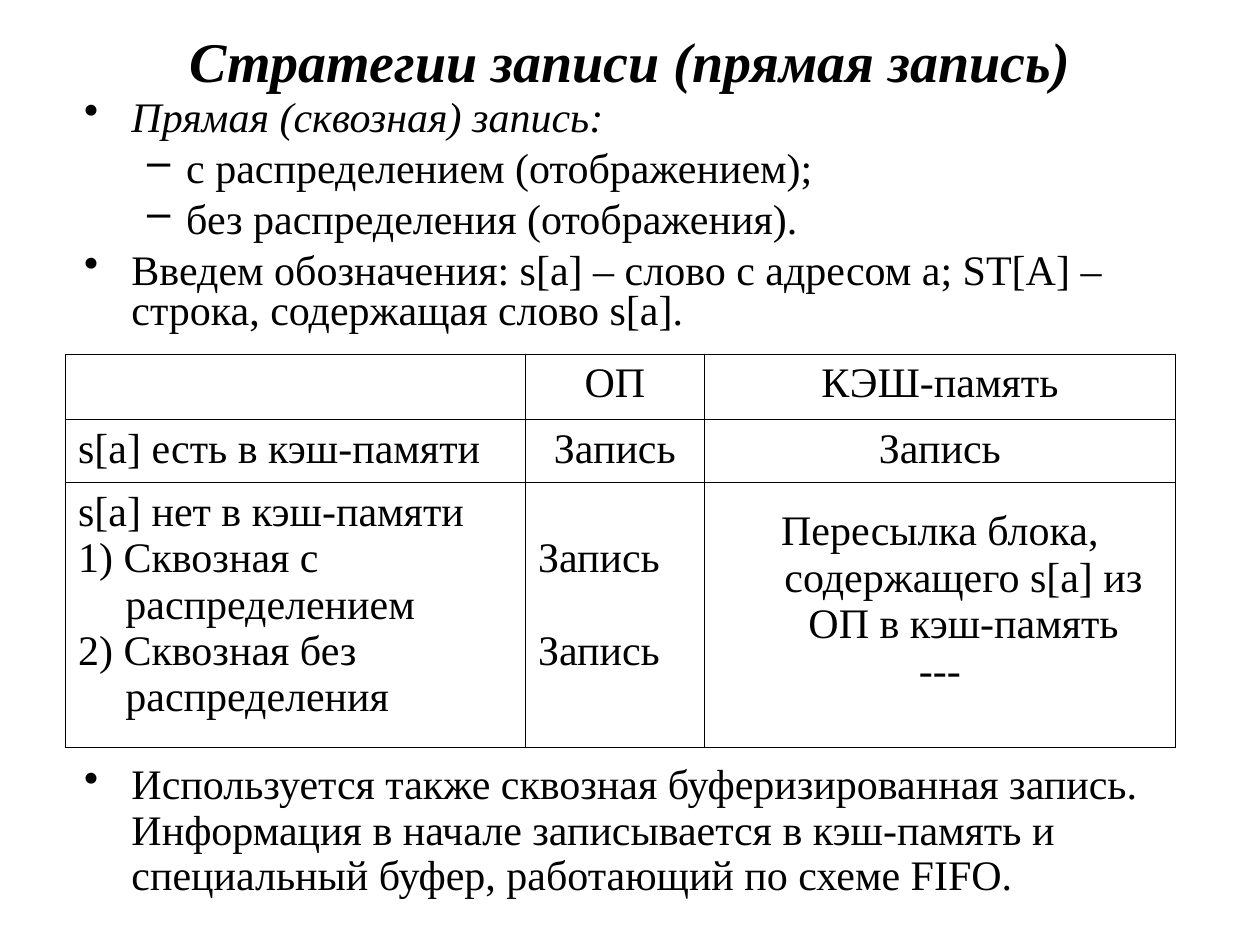
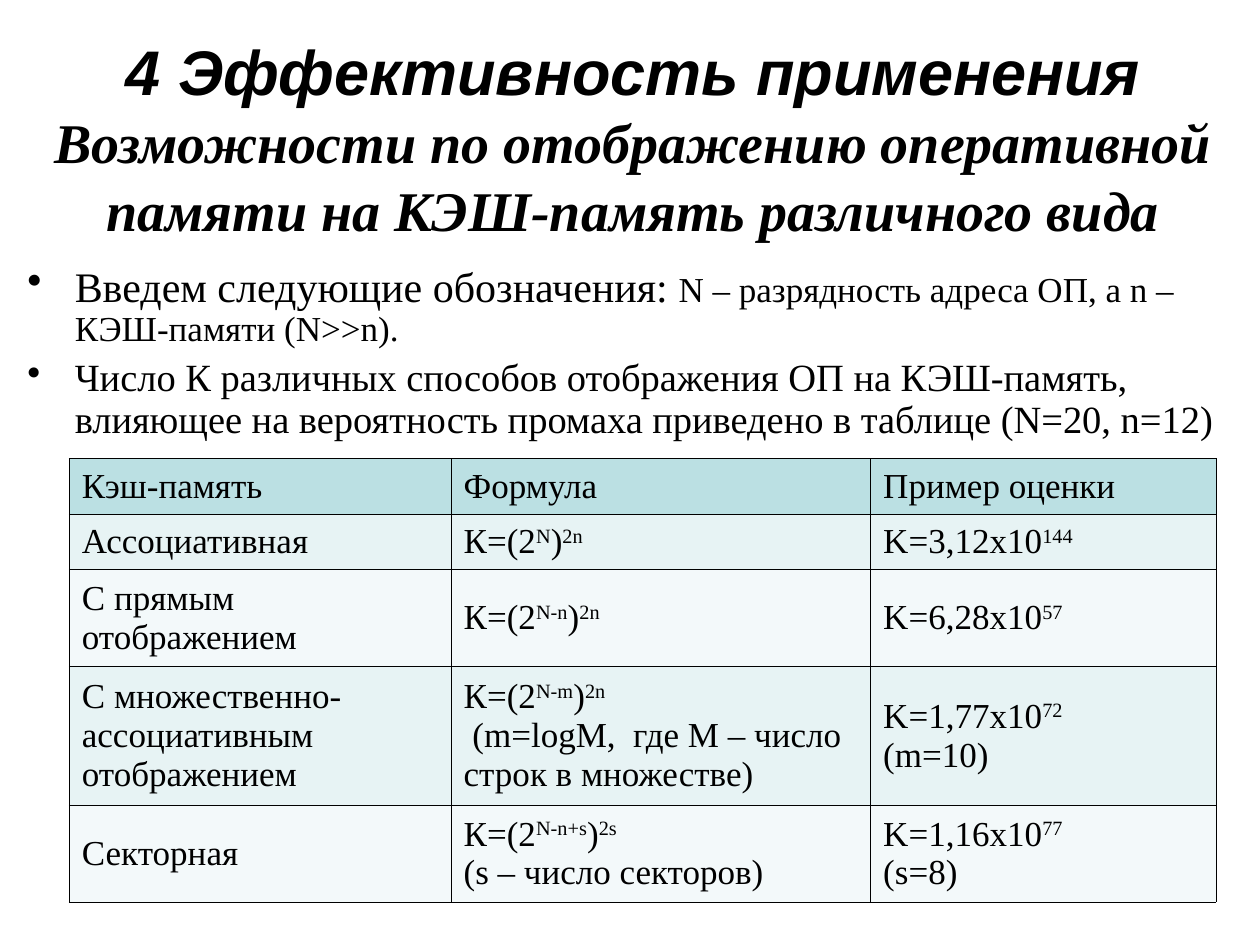
from dataclasses import dataclass, replace

from lxml import etree
from pptx import Presentation
from pptx.dml.color import RGBColor
from pptx.enum.text import MSO_ANCHOR, PP_ALIGN
from pptx.oxml.ns import qn
from pptx.util import Inches, Pt

LEFT, CENTER = PP_ALIGN.LEFT, PP_ALIGN.CENTER
TOP, MIDDLE = MSO_ANCHOR.TOP, MSO_ANCHOR.MIDDLE

COLORS = {
    "text": "000000",
    "border": "000000",
    "header": "BBE0E3",
    "odd": "E7F3F4",
    "even": "F3F9FA",
}
SERIF, SANS = "Times New Roman", "Arial"
SLIDE_COLUMNS, SLIDE_ROWS = 100, 75
GRID_STEP = Inches(10) // SLIDE_COLUMNS
BORDER_POINTS = 0.45
SUPERSCRIPT = "30000"
MARGIN_TOP = 0.5
HANGING = 3.75


@dataclass(frozen=True)
class Span:
    text: str
    size: float = 24
    font: str = SERIF
    bold: bool = False
    italic: bool = False


@dataclass(frozen=True)
class Para:
    spans: tuple[Span, ...]
    align: PP_ALIGN = LEFT
    indent: float = 0
    hanging: float = 0
    bullet: str = ""
    level: int = 0
    line_spacing: float = 1.0
    before: float = 0


@dataclass(frozen=True)
class Frame:
    column: float
    row: float
    columns: float
    rows: float

    def emu(self) -> tuple[int, ...]:
        return tuple(grid(n) for n in (self.column, self.row, self.columns, self.rows))


@dataclass(frozen=True)
class Cell:
    paras: tuple[Para, ...] = ()
    fill: str = ""
    anchor: MSO_ANCHOR = TOP
    margin_top: float = MARGIN_TOP


@dataclass(frozen=True)
class Grid:
    frame: Frame
    widths: tuple[float, ...]
    heights: tuple[float, ...]
    cells: list[list[Cell]]


def grid(count: float) -> int:
    return round(count * GRID_STEP)


def color(name: str) -> RGBColor:
    return RGBColor.from_string(COLORS[name])


def write_span(para, span: Span) -> None:
    for position, text in enumerate(span.text.split("^")):
        if not text:
            continue
        run = para.add_run()
        run.text = text
        font = run.font
        font.name, font.size = span.font, Pt(span.size)
        font.bold, font.italic = span.bold, span.italic
        font.color.rgb = color("text")
        if position % 2:
            run._r.get_or_add_rPr().set("baseline", SUPERSCRIPT)


def write_paras(text_frame, paras: tuple[Para, ...]) -> None:
    for position, item in enumerate(paras):
        para = text_frame.add_paragraph() if position else text_frame.paragraphs[0]
        para.alignment, para.level = item.align, item.level
        para.line_spacing = item.line_spacing
        para.space_before = Pt(item.before)
        properties = para._p.get_or_add_pPr()
        properties.set("marL", str(grid(item.indent)))
        properties.set("indent", str(grid(-item.hanging)))
        if item.bullet:
            tint = etree.SubElement(properties, qn("a:buClr"))
            etree.SubElement(tint, qn("a:srgbClr"), val=COLORS["text"])
            etree.SubElement(properties, qn("a:buChar"), char=item.bullet)
        for span in item.spans:
            write_span(para, span)


def draw_text(page, frame: Frame, paras: tuple[Para, ...], anchor: MSO_ANCHOR = TOP) -> None:
    box = page.shapes.add_textbox(*frame.emu())
    box.text_frame.word_wrap = True
    box.text_frame.vertical_anchor = anchor
    write_paras(box.text_frame, paras)


def draw_title(page, frame: Frame, *spans: Span) -> None:
    styled = tuple(replace(span, bold=True, italic=True) for span in spans)
    draw_text(page, frame, (Para(styled, CENTER),), MIDDLE)


def draw_borders(cell) -> None:
    properties = cell._tc.get_or_add_tcPr()
    for side in "LRTB":
        line = etree.SubElement(properties, qn(f"a:ln{side}"), w=str(Pt(BORDER_POINTS)))
        fill = etree.SubElement(line, qn("a:solidFill"))
        etree.SubElement(fill, qn("a:srgbClr"), val=COLORS["border"])


def draw_table(page, data: Grid) -> None:
    shape = page.shapes.add_table(len(data.heights), len(data.widths), *data.frame.emu())
    table = shape.table
    table.first_row = table.horz_banding = False
    for column, width in zip(table.columns, data.widths):
        column.width = grid(width)
    for row, height, items in zip(table.rows, data.heights, data.cells):
        row.height = grid(height)
        for cell, item in zip(row.cells, items):
            draw_borders(cell)
            if item.fill:
                cell.fill.solid()
                cell.fill.fore_color.rgb = color(item.fill)
            else:
                cell.fill.background()
            cell.vertical_anchor = item.anchor
            cell.margin_top = grid(item.margin_top)
            write_paras(cell.text_frame, item.paras)


def bullet(*spans: Span, spacing: float = 0.9, before: float = 6) -> Para:
    return Para(spans, indent=HANGING, hanging=HANGING, bullet="•",
                line_spacing=spacing, before=before)


def dash(text: str) -> Para:
    return Para((Span(text),), indent=8.1, hanging=3.1, bullet="–", level=1,
                line_spacing=0.8, before=6)


def hanging_cell(*lines: str, align: PP_ALIGN = LEFT, skip: float = 0,
                 gap: float = 0) -> Cell:
    paras = tuple(Para((Span(line),), align, HANGING, HANGING, before=gap if number else 0)
                  for number, line in enumerate(lines))
    return Cell(paras, margin_top=MARGIN_TOP + skip)


def banded_cell(text: str, row: int) -> Cell:
    fill = "header" if row == 0 else "odd" if row % 2 else "even"
    paras = tuple(Para((Span(line, 20),)) for line in text.split("\n"))
    return Cell(paras, fill, MIDDLE)


def build_write_strategies(page) -> None:
    draw_title(page, Frame(5, 1.1, 90, 7.4), Span("Стратегии записи (прямая запись)", 32))
    draw_text(page, Frame(5.7, 7.5, 87.6, 19.7), (
        bullet(Span("Прямая (сквозная) запись:", italic=True), spacing=0.8),
        dash("с распределением (отображением);"),
        dash("без распределения (отображения)."),
        bullet(Span("Введем обозначения: s[a] – слово с адресом а; ST[A] – "
                    "строка, содержащая слово s[a]."), spacing=0.8),
    ))
    draw_table(page, Grid(
        Frame(5.2, 28.1, 88.1, 31.2), (36.5, 14.2, 37.4), (5.2, 5, 21),
        [
            [Cell(), hanging_cell("ОП", align=CENTER),
             hanging_cell("КЭШ-память", align=CENTER)],
            [hanging_cell("s[a] есть в кэш-памяти"),
             hanging_cell("Запись", align=CENTER),
             hanging_cell("Запись", align=CENTER)],
            [hanging_cell("s[a] нет в кэш-памяти", "1) Сквозная с распределением",
                          "2) Сквозная без распределения"),
             hanging_cell("Запись", "Запись", skip=3.7, gap=26.6),
             hanging_cell("Пересылка блока, содержащего s[a] из ОП в кэш-память",
                          "‑‑‑", align=CENTER, skip=1.55)],
        ],
    ))
    draw_text(page, Frame(5.7, 60.1, 87.6, 13.3), (
        bullet(Span("Используется также сквозная буферизированная запись. "
                    "Информация в начале записывается в кэш-память и "
                    "специальный буфер, работающий по схеме FIFO.")),
    ))


def build_cache_efficiency(page) -> None:
    draw_title(page, Frame(1.6, 2.1, 97.3, 17.6),
               Span("4 Эффективность применения ", 36, SANS),
               Span("Возможности по отображению оперативной памяти "
                    "на КЭШ-память различного вида", 32))
    draw_text(page, Frame(1.2, 20.6, 97.3, 15.7), (
        bullet(Span("Введем следующие обозначения: "),
               Span("N – разрядность адреса ОП, а n – КЭШ-памяти (N>>n).", 20), before=5),
        bullet(Span("Число К различных способов отображения ОП на КЭШ-память, "
                    "влияющее на вероятность промаха приведено в таблице "
                    "(N=20, n=12)", 22), before=5.5),
    ))
    estimates = [
        ("Кэш-память", "Формула", "Пример оценки"),
        ("Ассоциативная", "К=(2^N^)^2n^", "K=3,12х10^144^"),
        ("С прямым отображением", "К=(2^N-n^)^2n^", "K=6,28х10^57^"),
        ("С множественно-ассоциативным отображением",
         "К=(2^N-m^)^2n^\n (m=logM,  где М – число строк в множестве)",
         "K=1,77х10^72^\n(m=10)"),
        ("Секторная", "К=(2^N-n+s^)^2s^\n(s – число секторов)",
         "K=1,16х10^77^\n(s=8)"),
    ]
    draw_table(page, Grid(
        Frame(5.5, 36.4, 91, 35.2), (30.3, 33.3, 27.4), (4.4, 4.4, 7.7, 11, 7.7),
        [[banded_cell(text, row) for text in texts] for row, texts in enumerate(estimates)],
    ))


def main() -> None:
    deck = Presentation()
    deck.slide_width, deck.slide_height = grid(SLIDE_COLUMNS), grid(SLIDE_ROWS)
    blank = deck.slide_layouts[6]
    for build in (build_write_strategies, build_cache_efficiency):
        build(deck.slides.add_slide(blank))
    deck.save("out.pptx")


if __name__ == "__main__":
    main()
